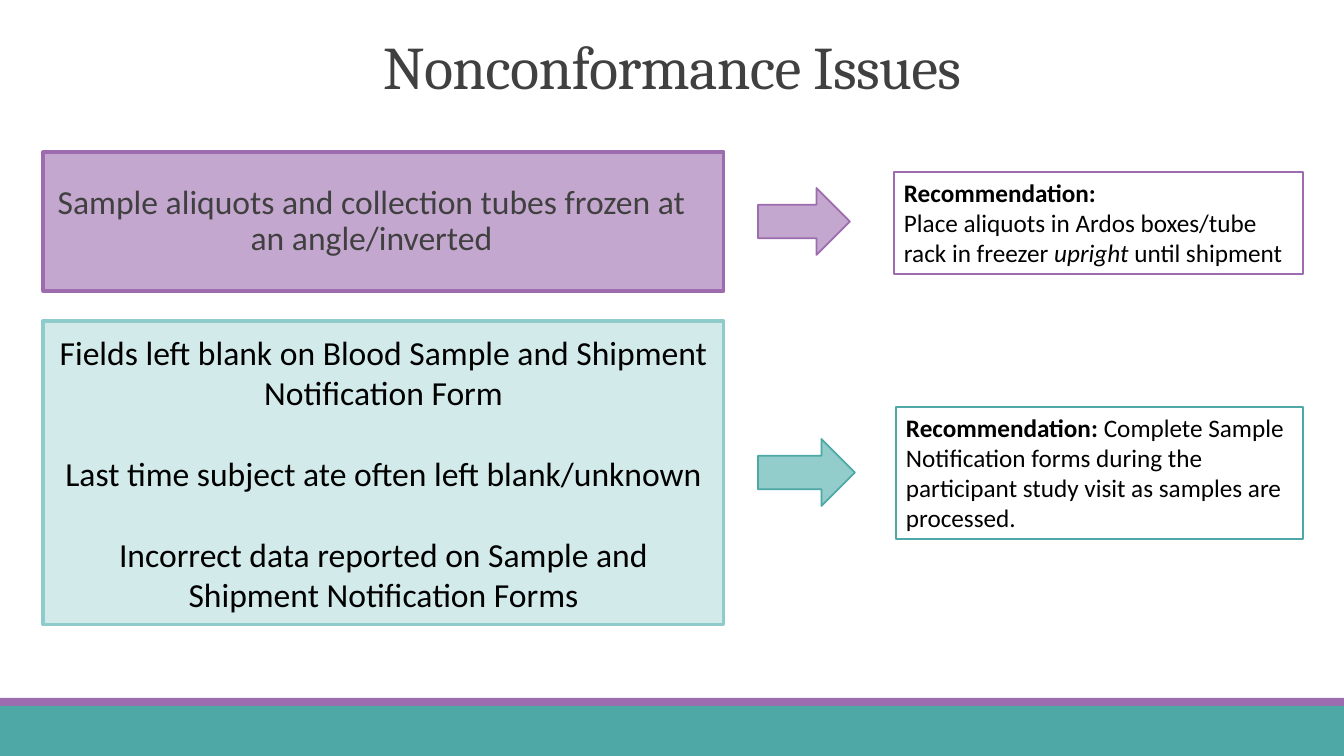
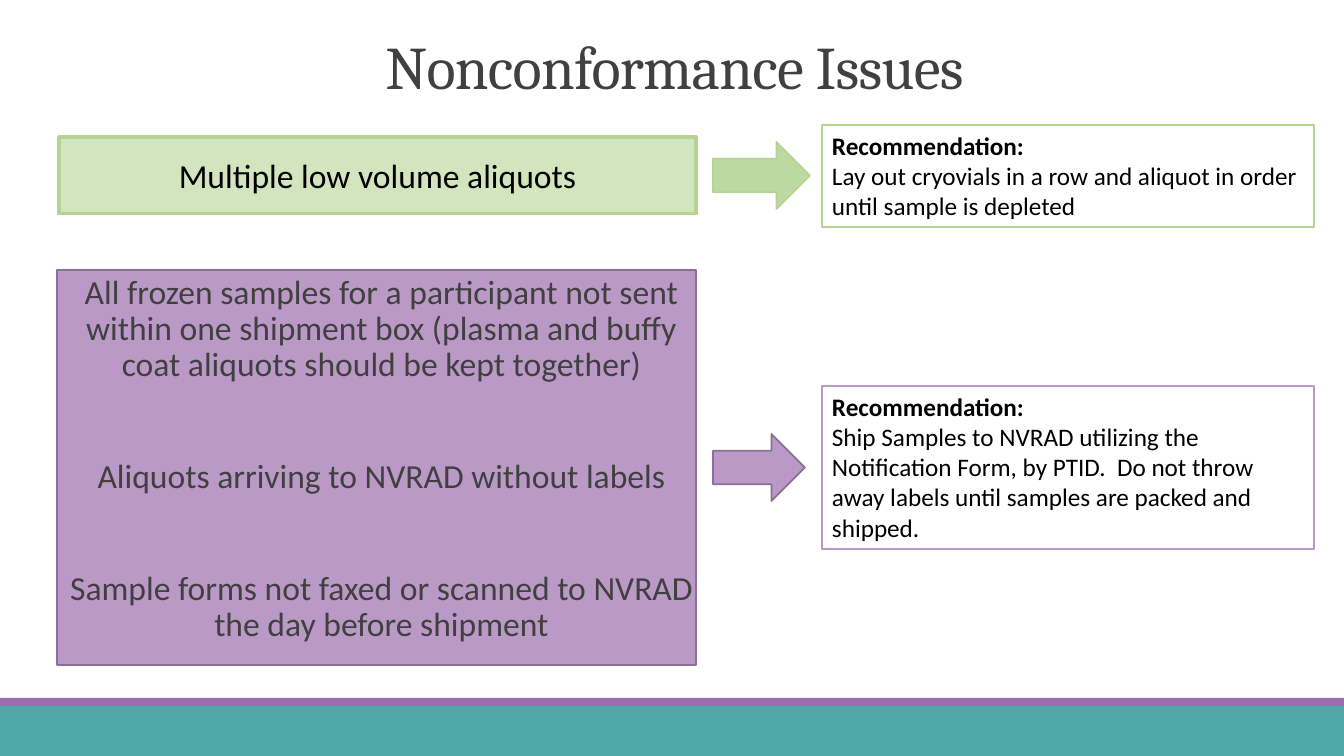
from lxml import etree
from pptx import Presentation
from pptx.dml.color import RGBColor
from pptx.enum.shapes import MSO_SHAPE
from pptx.enum.text import MSO_ANCHOR, MSO_AUTO_SIZE, PP_ALIGN
from pptx.util import Emu, Pt

RECT, ARROW = MSO_SHAPE.RECTANGLE, MSO_SHAPE.RIGHT_ARROW
TOP, MID, LOW = MSO_ANCHOR.TOP, MSO_ANCHOR.MIDDLE, MSO_ANCHOR.BOTTOM
LEFT, MIDDLE = PP_ALIGN.LEFT, PP_ALIGN.CENTER
FIXED = MSO_AUTO_SIZE.NONE

WIDE, HIGH = 1344, 756
SCALE = 914400 / 100.8
INSET = (10, 5, 10, 5)

HUES = {
    "white": "FFFFFF", "black": "000000", "gray": "404040",
    "teal": "4EA8A5", "teal mid": "93CDCB", "teal edge": "8FCBCA",
    "teal pale": "D2EAEA",
    "plum": "9D6CAF", "plum mid": "BB99C7", "plum pale": "C4A7CF",
    "plum edge": "8A7193",
    "green": "B5D395", "green mid": "BED8A1", "green pale": "D3E5BF",
}

TITLE = "Nonconformance Issues"
LABEL = ("Recommendation:", "b")

# Bands: top, height, colour
BANDS = [(706, 50, "teal"), (698, 8, "plum")]

# Text formats of the issue boxes
PLAIN = dict(color="black", before=29)
TIGHT = dict(color="gray", lines=0.9, before=52, after=2)

# Each row: an issue, an arrow and the advice; a look is fill, line, width
SLIDES = [
    {"title": (0, WIDE), "rows": [
        {"issue": ["Sample aliquots and collection tubes frozen at an angle/inverted"],
         "box": (43, 152, 681, 139), "look": ("plum pale", "plum", 2.25),
         "style": dict(TIGHT, inset=(0, 5, 24, 5)),
         "arrow": (758, 188, 92, 67), "head": ("plum pale", "plum", 1.25),
         "advice": [[LABEL],
                    [("Place aliquots in Ardos boxes/tube rack in freezer ", ""),
                     ("upright", "i"), (" until shipment", "")]],
         "note": (894, 172, 409, 102), "rim": "plum"},
        {"issue": ["Fields left blank on Blood Sample and Shipment Notification Form",
                   "Last time subject ate often left blank/unknown",
                   "Incorrect data reported on Sample and Shipment Notification Forms"],
         "box": (43, 321, 681, 304), "look": ("teal pale", "teal edge", 2.25),
         "style": PLAIN,
         "arrow": (758, 439, 97, 67), "head": ("teal mid", "teal", 1.25),
         "advice": [[("Recommendation: ", "b"),
                     ("Complete Sample Notification forms during the participant "
                      "study visit as samples are processed.", "")]],
         "note": (896, 407, 407, 132), "rim": "teal"},
    ]},
    {"title": (333, 683), "rows": [
        {"issue": ["Multiple low volume aliquots"],
         "box": (59, 137, 637, 77), "look": ("green pale", "green", 2.25),
         "style": PLAIN,
         "arrow": (713, 142, 97, 67), "head": ("green mid", "green", 1.25),
         "advice": [[LABEL],
                    [("Lay out cryovials in a row and aliquot in order until "
                      "sample is depleted", "")]],
         "note": (822, 125, 492, 102), "rim": "green"},
        {"issue": ["All frozen samples for a participant not sent within one shipment "
                   "box (plasma and buffy coat aliquots should be kept together)",
                   "Aliquots arriving to NVRAD without labels",
                   "Sample forms not faxed or scanned to NVRAD the day before shipment"],
         "box": (57, 270, 639, 395), "look": ("plum mid", "plum edge", 1.25),
         "style": dict(TIGHT, anchor=TOP, inset=(10, 5, 0, 5)),
         "arrow": (713, 434, 92, 67), "head": ("plum mid", "plum edge", 1.25),
         "advice": [[LABEL],
                    [("Ship Samples to NVRAD utilizing the Notification Form, by PTID.  "
                      "Do not throw away labels until samples are packed and shipped.", "")]],
         "note": (822, 386, 492, 163), "rim": "plum mid"},
    ]},
]


def px(num):
    return Emu(round(num * SCALE))


def hue(name):
    return RGBColor.from_string(HUES[name])


def write(shape, paras, size=24, font="Calibri", color="black", align=MIDDLE,
          anchor=MID, inset=INSET, lines=1.0, before=0, after=0, track=0):
    """Fill a shape with paragraphs: strings or lists of (text, mark)."""
    frame = shape.text_frame
    frame.word_wrap, frame.auto_size = True, FIXED
    frame.vertical_anchor = anchor
    (frame.margin_left, frame.margin_top,
     frame.margin_right, frame.margin_bottom) = map(px, inset)
    for num, runs in enumerate(paras):
        para = frame.add_paragraph() if num else frame.paragraphs[0]
        para.alignment, para.line_spacing = align, lines
        para.space_before, para.space_after = Pt(before if num else 0), Pt(after)
        for text, mark in [(runs, "")] if isinstance(runs, str) else runs:
            run = para.add_run()
            run.text = text
            face = run.font
            face.name, face.size = font, Pt(size)
            face.bold, face.italic = mark == "b", mark == "i"
            face.color.rgb = hue(color)
            if track:
                run._r.get_or_add_rPr().set("spc", str(round(track * 100)))


def draw(slide, kind, area, fill, line=None, width=0):
    shape = slide.shapes.add_shape(kind, *map(px, area))
    shape.shadow.inherit = False
    shape.fill.solid()
    shape.fill.fore_color.rgb = hue(fill)
    if line:
        shape.line.color.rgb = hue(line)
        shape.line.width = Pt(width)
    else:
        shape.line.fill.background()
    return shape


def share(slide, layout):
    """Draw the bands and move them to the back of the layout."""
    for top, tall, fill in BANDS:
        band = draw(slide, RECT, (0, top, WIDE, tall), fill)
        layout.shapes._spTree.insert(2, band._element)


def build(slide, data):
    # Title
    head = slide.shapes.title
    left, wide = data["title"]
    head.left, head.top, head.width, head.height = map(px, (left, 30, wide, 77))
    write(head, [TITLE], size=43.2, font="Cambria", color="gray", anchor=LOW,
          lines=0.85, track=-0.5)
    # Issue, arrow, advice
    for row in data["rows"]:
        box = draw(slide, RECT, row["box"], *row["look"])
        write(box, row["issue"], **row["style"])
        draw(slide, ARROW, row["arrow"], *row["head"])
        note = draw(slide, RECT, row["note"], "white", row["rim"], 1.25)
        write(note, row["advice"], size=18, align=LEFT, anchor=TOP)


def main():
    deck = Presentation()
    deck.slide_width, deck.slide_height = px(WIDE), px(HIGH)
    layout = deck.slide_layouts[5]
    for num, data in enumerate(SLIDES):
        slide = deck.slides.add_slide(layout)
        if num == 0:
            share(slide, layout)
        build(slide, data)
    deck.save("out.pptx")


if __name__ == "__main__":
    main()
